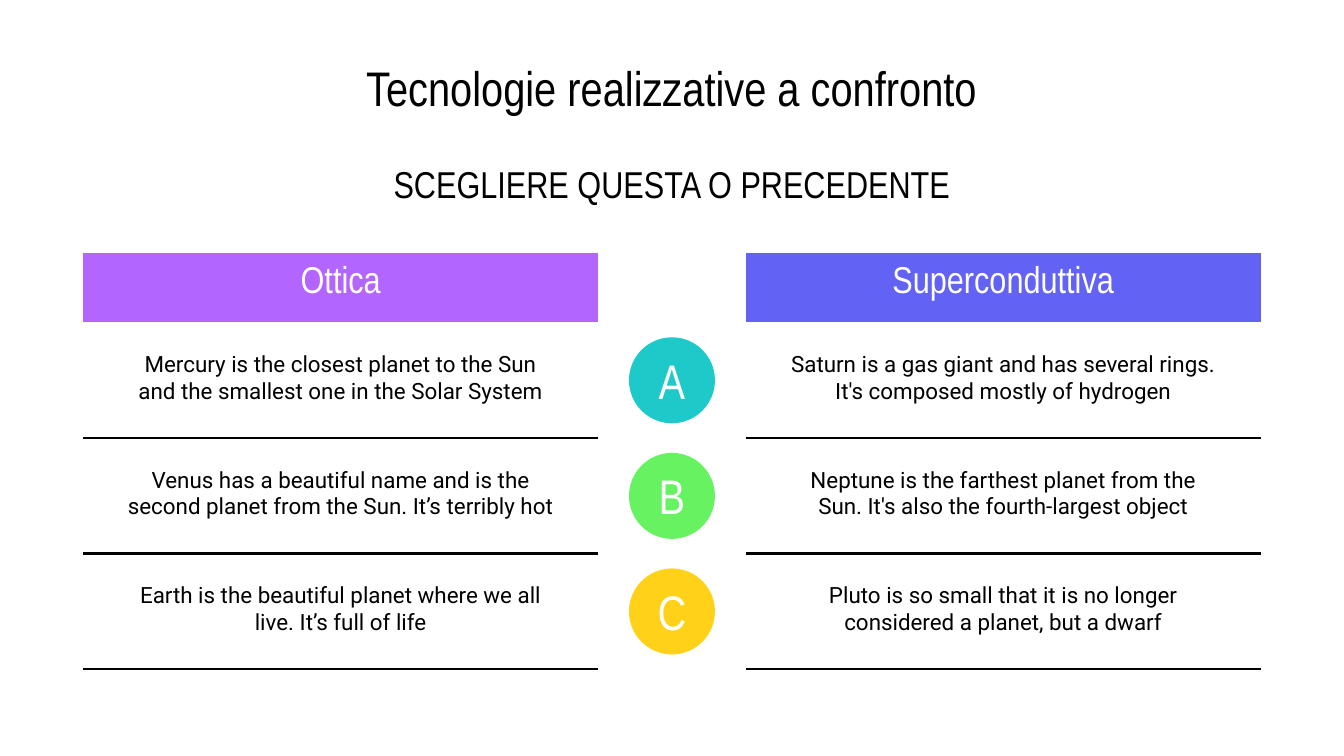
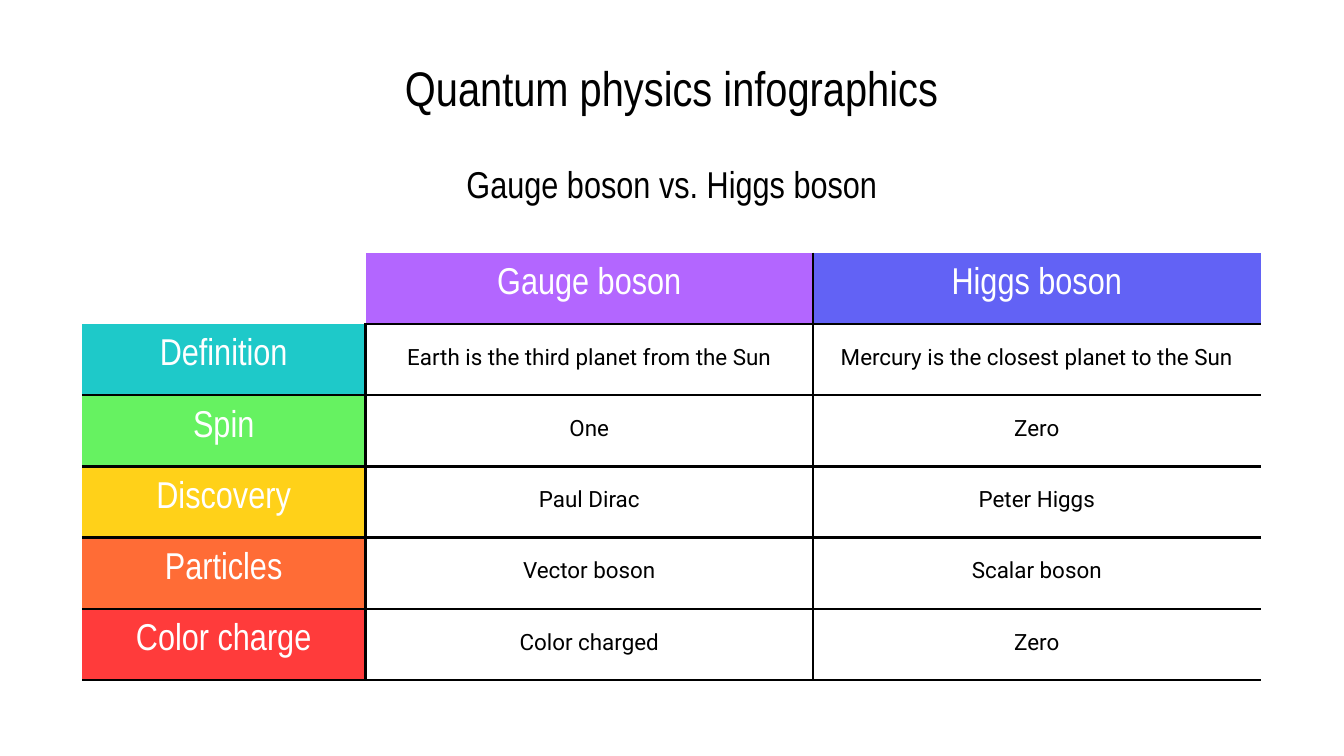
"""Builds two comparison slides with tables."""
from lxml.etree import SubElement
from pptx import Presentation
from pptx.dml.color import RGBColor as RGB
from pptx.enum.shapes import MSO_SHAPE as Shape
from pptx.enum.text import MSO_ANCHOR as Anchor, PP_ALIGN as Align
from pptx.oxml.ns import qn
from pptx.util import Inches, Pt

BLACK, WHITE = RGB(0, 0, 0), RGB(255, 255, 255)
VIOLET, BLUE = RGB(0xB3, 0x66, 0xFF), RGB(0x62, 0x62, 0xF5)
TEAL, GREEN = RGB(0x1E, 0xC9, 0xC9), RGB(0x66, 0xF2, 0x61)
YELLOW, ORANGE = RGB(0xFF, 0xD1, 0x19), RGB(0xFF, 0x6C, 0x36)
RED = RGB(0xFF, 0x3B, 0x3B)
HEAD, BODY = "Arial Narrow", "Roboto"
NO_STYLE = "{2D5ABB26-0587-4C30-8999-92F81FD0307C}"
WIDE = Inches(10)
HIGH = WIDE * 9 // 16
TOP = 1.88

TECH = ("Tecnologie realizzative a confronto", "SCEGLIERE QUESTA O PRECEDENTE")
SIDES = [
    (0.62, VIOLET, [
        "Ottica",
        "Mercury is the closest planet to the Sun and the smallest one in the Solar System",
        "Venus has a beautiful name and is the second planet from the Sun. It’s terribly hot",
        "Earth is the beautiful planet where we all live. It’s full of life",
    ]),
    (5.55, BLUE, [
        "Superconduttiva",
        "Saturn is a gas giant and has several rings. It's composed mostly of hydrogen",
        "Neptune is the farthest planet from the Sun. It's also the fourth-largest object",
        "Pluto is so small that it is no longer considered a planet, but a dwarf",
    ]),
]
BADGES = [("A", TEAL), ("B", GREEN), ("C", YELLOW)]

BOSON = ("Quantum physics infographics", "Gauge boson vs. Higgs boson")
HEADS = [("Gauge boson", VIOLET), ("Higgs boson", BLUE)]
ROWS = [
    ("Definition", TEAL, "Earth is the third planet from the Sun",
     "Mercury is the closest planet to the Sun"),
    ("Spin", GREEN, "One", "Zero"),
    ("Discovery", YELLOW, "Paul Dirac", "Peter Higgs"),
    ("Particles", ORANGE, "Vector boson", "Scalar boson"),
    ("Color charge", RED, "Color charged", "Zero"),
]


def write(frame, text, size=12, font=BODY, color=BLACK):
    para = frame.paragraphs[0]
    para.alignment = Align.CENTER
    run = para.add_run()
    run.text = text
    run.font.size, run.font.name = Pt(size), font
    run.font.color.rgb = color


def inset(item, side, top, low=0.1):
    item.margin_left = item.margin_right = Inches(side)
    item.margin_top, item.margin_bottom = Inches(top), Inches(low)
    item.vertical_anchor = Anchor.MIDDLE


def add_page(deck, heads):
    page = deck.slides.add_slide(deck.slide_layouts[6])
    for text, y, high, size in zip(heads, (0.33, 1.18), (0.63, 0.37), (26, 20)):
        box = page.shapes.add_textbox(Inches(2.2), Inches(y), Inches(5.6), Inches(high))
        frame = box.text_frame
        frame.word_wrap = True
        inset(frame, 0.1, 0.1)
        write(frame, text, size=size, font=HEAD)
    return page


def add_grid(page, left, wide, high):
    frame = page.shapes.add_table(len(high), len(wide), Inches(left), Inches(TOP),
                                  Inches(sum(wide)), Inches(sum(high)))
    grid = frame.table
    grid.first_row = grid.horz_banding = False
    grid._tbl.tblPr.find(qn("a:tableStyleId")).text = NO_STYLE
    for col, size in zip(grid.columns, wide):
        col.width = Inches(size)
    for row, size in zip(grid.rows, high):
        row.height = Inches(size)
    return grid


def fill_cell(cell, text, edges, fill=None, side=0.1):
    props = cell._tc.get_or_add_tcPr()
    for edge in "LRTB":
        drawn = edge in edges
        line = SubElement(props, qn(f"a:ln{edge}"), w=str(Pt(1.5) if drawn else 0))
        paint = SubElement(line, qn("a:solidFill" if drawn else "a:noFill"))
        if drawn:
            SubElement(paint, qn("a:srgbClr"), val=str(BLACK))
    if fill is None:
        cell.fill.background()
        inset(cell, side, 0.07)
        if text:
            write(cell.text_frame, text)
    else:
        cell.fill.solid()
        cell.fill.fore_color.rgb = fill
        inset(cell, 0.1, 0.05)
        write(cell.text_frame, text, size=20, font=HEAD, color=WHITE)


def add_badge(page, text, fill, y):
    badge = page.shapes.add_shape(Shape.OVAL, Inches(4.68), Inches(y),
                                  Inches(0.64), Inches(0.64))
    badge.shadow.inherit = False
    badge.fill.solid()
    badge.fill.fore_color.rgb = fill
    badge.line.fill.background()
    inset(badge.text_frame, 0.1, 0.1, low=0.11)
    write(badge.text_frame, text, size=26, font=HEAD, color=WHITE)


def build_tech(deck):
    page = add_page(deck, TECH)
    step = 0.86
    for left, color, texts in SIDES:
        grid = add_grid(page, left, [3.83], [0.52] + [step] * 3)
        for r, text in enumerate(texts):
            edges = ("", "B", "TB", "TB")[r]
            fill_cell(grid.cell(r, 0), text, edges, fill=None if r else color, side=0.3)
    for i, (text, color) in enumerate(BADGES):
        add_badge(page, text, color, 2.51 + i * step)


def build_boson(deck):
    page = add_page(deck, BOSON)
    lines = [[("", None)] + HEADS]
    lines += [[(name, color), (one, None), (two, None)] for name, color, one, two in ROWS]
    grid = add_grid(page, 0.61, [2.11, 3.33, 3.33], [0.53] * len(lines))
    for r, line in enumerate(lines):
        for c, (text, fill) in enumerate(line):
            rules = {"L": c and r + c > 1, "R": c < 2 and r + c,
                     "T": r and r + c > 1, "B": r + c}
            edges = [edge for edge, drawn in rules.items() if drawn]
            fill_cell(grid.cell(r, c), text, edges, fill=fill)


def main():
    deck = Presentation()
    deck.slide_width, deck.slide_height = WIDE, HIGH
    build_tech(deck)
    build_boson(deck)
    deck.save("out.pptx")


if __name__ == "__main__":
    main()
